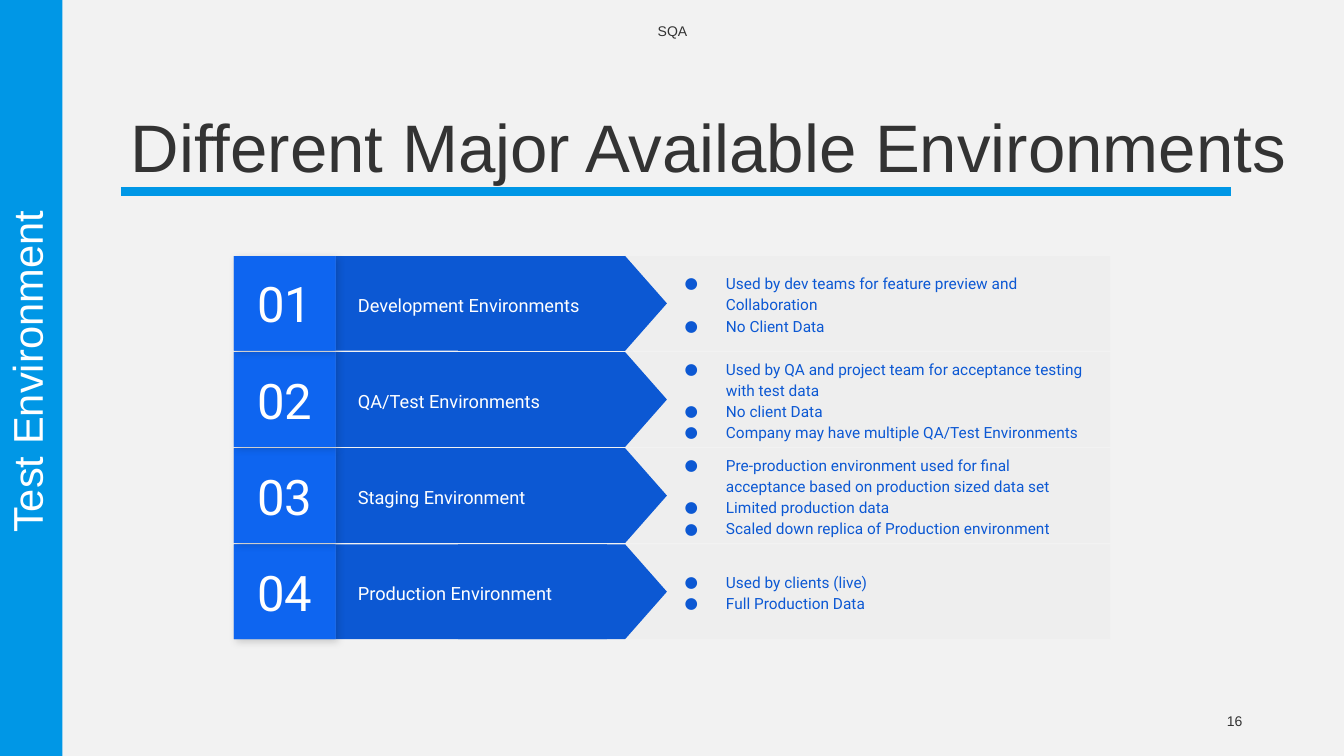
from dataclasses import dataclass

from lxml.etree import SubElement
from pptx import Presentation
from pptx.dml.color import RGBColor
from pptx.enum.shapes import MSO_CONNECTOR, MSO_SHAPE as Preset
from pptx.enum.text import MSO_ANCHOR as Anchor, PP_ALIGN as Align
from pptx.oxml.ns import qn
from pptx.shapes.autoshape import Shape
from pptx.slide import Slide
from pptx.util import Inches, Pt


@dataclass(frozen=True)
class Theme:
    background: str = "F2F2F2"
    accent: str = "0097E6"
    ink: str = "333333"
    white: str = "FFFFFF"
    panel: str = "EEEEEE"
    arrow: str = "0C58D3"
    number: str = "0E65F0"
    number_back: str = "0D5DDF"
    heading_font: str = "Arial"
    body_font: str = "Roboto"
    title_size: float = 48
    side_size: float = 29.7
    number_size: float = 35
    name_size: float = 13
    bullet_size: float = 11
    small_size: float = 10


@dataclass(frozen=True)
class Box:
    left: float
    top: float
    width: float
    height: float

    def lengths(self) -> list[int]:
        return [Inches(v) for v in (self.left, self.top, self.width, self.height)]


@dataclass(frozen=True)
class TextStyle:
    font: str
    size: float
    color: str
    align: Align = Align.LEFT
    anchor: Anchor = Anchor.MIDDLE
    spacing: float = 1.0
    margin_x: float = 0.1
    margin_y: float = 0.05
    bulleted: bool = False


@dataclass(frozen=True)
class Environment:
    name: str
    traits: tuple[str, ...]
    traits_width: float = 4.33


THEME = Theme()
TITLE = TextStyle(THEME.heading_font, THEME.title_size, THEME.ink,
                  anchor=Anchor.BOTTOM, spacing=0.85)
SIDE_TITLE = TextStyle(THEME.heading_font, THEME.side_size, THEME.white,
                       Align.CENTER, Anchor.BOTTOM, 0.85)
HEADER = TextStyle(THEME.heading_font, THEME.small_size, THEME.ink, Align.CENTER)
PAGE_NUMBER = TextStyle(THEME.heading_font, THEME.small_size, THEME.ink, Align.RIGHT)
NUMBER = TextStyle(THEME.body_font, THEME.number_size, THEME.white, Align.CENTER,
                   margin_x=0.13, margin_y=0.13)
NAME = TextStyle(THEME.body_font, THEME.name_size, THEME.white, spacing=1.15,
                 margin_x=0.13, margin_y=0.13)
TRAITS = TextStyle(THEME.body_font, THEME.bullet_size, THEME.arrow, spacing=1.15,
                   margin_x=0.13, margin_y=0.13, bulleted=True)

ENVIRONMENTS = (
    Environment("Development Environments", (
        "Used by dev teams for feature preview and Collaboration",
        "No Client Data")),
    Environment("QA/Test Environments", (
        "Used by QA and project team for acceptance testing with test data",
        "No client Data",
        "Company may have multiple QA/Test Environments"), 4.61),
    Environment("Staging Environment", (
        "Pre-production environment used for final acceptance based on "
        "production sized data set",
        "Limited production data",
        "Scaled down replica of Production environment")),
    Environment("Production Environment", (
        "Used by clients (live)",
        "Full Production Data")),
)
FIRST_TOP, LAST_TOP = 2.54, 5.4
ROW_PITCH = (LAST_TOP - FIRST_TOP) / (len(ENVIRONMENTS) - 1)
ROW_HEIGHT = 0.94
POINTER_LENGTH = 2.07


def rgb(color: str) -> RGBColor:
    return RGBColor.from_string(color)


def add_bullet(paragraph) -> None:
    properties = paragraph._p.get_or_add_pPr()
    properties.set("marL", str(Inches(0.67)))
    properties.set("indent", str(Inches(-0.41)))
    bullet_color = SubElement(properties, qn("a:buClr"))
    SubElement(bullet_color, qn("a:srgbClr"), val=THEME.arrow)
    SubElement(properties, qn("a:buFont"), typeface=THEME.body_font)
    SubElement(properties, qn("a:buChar"), char="●")


def write(shape: Shape, style: TextStyle, *lines: str) -> None:
    frame = shape.text_frame
    frame.word_wrap = True
    frame.vertical_anchor = style.anchor
    frame.margin_left = frame.margin_right = Inches(style.margin_x)
    frame.margin_top = frame.margin_bottom = Inches(style.margin_y)
    frame.text = "\n".join(lines)
    for paragraph in frame.paragraphs:
        paragraph.alignment = style.align
        paragraph.line_spacing = style.spacing
        if style.bulleted:
            add_bullet(paragraph)
        paragraph.font.name = style.font
        paragraph.font.size = Pt(style.size)
        paragraph.font.color.rgb = rgb(style.color)


def add_text(slide: Slide, box: Box, style: TextStyle, *lines: str) -> Shape:
    label = slide.shapes.add_textbox(*box.lengths())
    write(label, style, *lines)
    return label


def add_block(slide: Slide, box: Box, color: str,
              preset: Preset = Preset.RECTANGLE) -> Shape:
    block = slide.shapes.add_shape(preset, *box.lengths())
    block.fill.solid()
    block.fill.fore_color.rgb = rgb(color)
    block.line.fill.background()
    block.shadow.inherit = False
    return block


def add_shadow(block: Shape) -> None:
    effects = block._element.spPr.find(qn("a:effectLst"))
    shadow = SubElement(effects, qn("a:outerShdw"), blurRad=str(Pt(5.6)),
                        dist=str(Pt(2.2)), dir="2700000", algn="tl", rotWithShape="0")
    shade = SubElement(shadow, qn("a:srgbClr"), val="000000")
    SubElement(shade, qn("a:alpha"), val="17000")


def add_title_rule(slide: Slide) -> None:
    rule = slide.shapes.add_connector(MSO_CONNECTOR.STRAIGHT, Inches(1.2), Inches(1.9),
                                      Inches(12.21), Inches(1.9))
    rule.line.color.rgb = rgb(THEME.accent)
    rule.line.width = Pt(6)
    SubElement(rule._element.spPr, qn("a:effectLst"))


def add_environment(slide: Slide, index: int, environment: Environment) -> None:
    top = FIRST_TOP + index * ROW_PITCH
    add_block(slide, Box(5.44, top, 5.57, ROW_HEIGHT), THEME.panel)
    add_block(slide, Box(3.33, top, 2.69, ROW_HEIGHT), THEME.arrow)
    pointer_top = top + (ROW_HEIGHT - POINTER_LENGTH) / 2
    pointer = add_block(slide, Box(5.11, pointer_top, ROW_HEIGHT, POINTER_LENGTH),
                        THEME.arrow, Preset.FLOWCHART_OFFPAGE_CONNECTOR)
    pointer.rotation = 270
    add_text(slide, Box(3.42, top + 0.11, 2.83, 0.72), NAME, environment.name)
    number_box = Box(2.32, top, 1.01, ROW_HEIGHT)
    add_shadow(add_block(slide, number_box, THEME.number_back))
    write(add_block(slide, number_box, THEME.number), NUMBER, f"{index + 1:02}")
    add_text(slide, Box(6.4, top, environment.traits_width, ROW_HEIGHT), TRAITS,
             *environment.traits)


def main() -> None:
    deck = Presentation()
    deck.slide_width, deck.slide_height = Inches(13.33), Inches(7.5)
    slide = deck.slides.add_slide(deck.slide_layouts[6])
    slide.background.fill.solid()
    slide.background.fill.fore_color.rgb = rgb(THEME.background)

    add_title_rule(slide)
    add_block(slide, Box(0, 0, 0.62, 7.5), THEME.accent)
    add_text(slide, Box(1.2, 0.31, 11.83, 1.59), TITLE,
             "Different Major Available Environments")
    add_text(slide, Box(4.42, 0.11, 4.5, 0.4), HEADER, "SQA")
    add_text(slide, Box(9.42, 6.95, 3, 0.4), PAGE_NUMBER, "16")
    side_title = add_text(slide, Box(-3.06, 3.44, 6.74, 0.5), SIDE_TITLE,
                          "Test Environment")
    side_title.rotation = 270
    for index, environment in reversed(list(enumerate(ENVIRONMENTS))):
        add_environment(slide, index, environment)
    deck.save("out.pptx")


if __name__ == "__main__":
    main()
